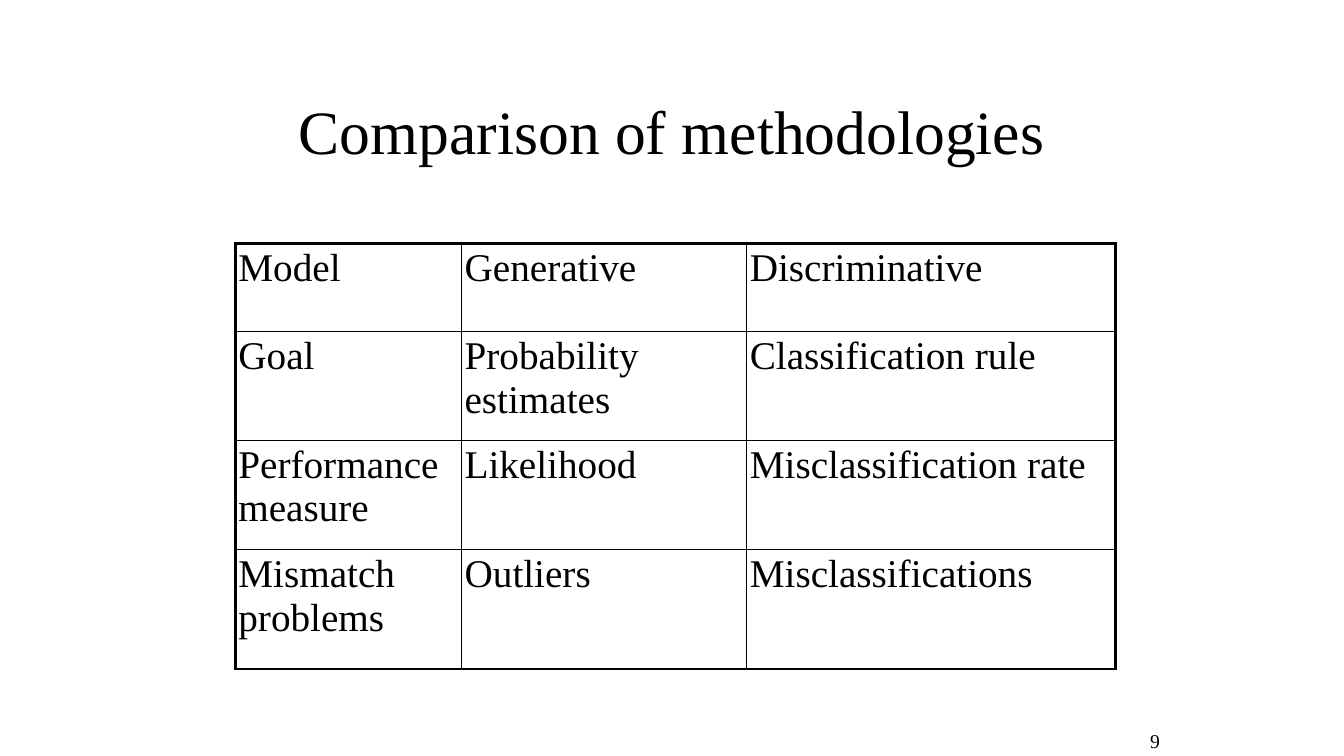
from dataclasses import dataclass

from lxml import etree
from pptx import Presentation
from pptx import util as u
from pptx.dml import color
from pptx.enum import text
from pptx.oxml import ns


@dataclass(frozen=True)
class Theme:
    """Hold the colours, font, type sizes and line widths."""

    ink: str = "000000"
    paper: str = "FFFFFF"
    font: str = "Times New Roman"
    title: int = 88
    body: int = 56
    number: int = 28
    outer: int = 4
    inner: int = 2


class SlideBuilder:
    """Draw elements on one slide, with places given as shares of its size."""

    def __init__(self, deck, theme):
        self.deck, self.theme = deck, theme
        self.slide = deck.slides.add_slide(deck.slide_layouts[6])
        fill = self.slide.background.fill
        fill.solid()
        fill.fore_color.rgb = color.RGBColor.from_string(theme.paper)

    def across(self, share):
        return round(self.deck.slide_width * share)

    def down(self, share):
        return round(self.deck.slide_height * share)

    def place(self, left, top, width, height):
        return self.across(left), self.down(top), self.across(width), self.down(height)

    def add_words(self, frame, words, size, margin, align):
        frame.margin_left = frame.margin_right = u.Inches(margin)
        frame.margin_top = frame.margin_bottom = u.Inches(margin)
        para = frame.paragraphs[0] if hasattr(frame, "paragraphs") else frame.text_frame.paragraphs[0]
        para.alignment = align
        span = para.add_run()
        span.text = words
        span.font.name = self.theme.font
        span.font.size = u.Pt(size)
        span.font.color.rgb = color.RGBColor.from_string(self.theme.ink)
        return para

    def label(self, area, words, size, wrap=True, anchor=text.MSO_ANCHOR.TOP):
        frame = self.slide.shapes.add_textbox(*self.place(*area)).text_frame
        frame.word_wrap = wrap
        frame.vertical_anchor = anchor
        self.add_words(frame, words, size, 0.11, text.PP_ALIGN.CENTER)

    def border(self, cell, side, points):
        line = etree.SubElement(cell._tc.get_or_add_tcPr(), ns.qn(f"a:ln{side}"), w=str(u.Pt(points)))
        fill = etree.SubElement(line, ns.qn("a:solidFill"))
        etree.SubElement(fill, ns.qn("a:srgbClr"), val=self.theme.ink)

    def table(self, area, widths, heights, rows):
        grid = self.slide.shapes.add_table(len(rows), len(widths), *self.place(*area)).table
        grid.first_row = grid.horz_banding = False
        for column, width in zip(grid.columns, widths):
            column.width = self.across(area[2] * width / sum(widths))
        for row, height in zip(grid.rows, heights):
            row.height = self.down(area[3] * height / sum(heights))
        for r, row in enumerate(rows):
            for c, words in enumerate(row):
                cell = grid.cell(r, c)
                para = self.add_words(cell, words, self.theme.body, 0.06, text.PP_ALIGN.LEFT)
                para.space_before = u.Pt(12)
                edges = {"L": c == 0, "R": c == len(row) - 1, "T": r == 0, "B": r == len(rows) - 1}
                for side, outside in edges.items():
                    self.border(cell, side, self.theme.outer if outside else self.theme.inner)
                cell.fill.background()


def main():
    deck = Presentation()
    deck.slide_width, deck.slide_height = u.Inches(26.67), u.Inches(15)
    theme = Theme()
    page = SlideBuilder(deck, theme)
    page.table(
        (4.67 / 26.67, 4.83 / 15, 17.47 / 26.67, 8.44 / 15),
        (4.49, 5.66, 7.32),
        (1.75, 2.16, 2.17, 2.36),
        (
            ("Model", "Generative", "Discriminative"),
            ("Goal", "Probability estimates", "Classification rule"),
            ("Performance measure", "Likelihood", "Misclassification rate"),
            ("Mismatch problems", "Outliers", "Misclassifications"),
        ),
    )
    page.label(
        (4.83 / 26.67, 0.83 / 15, 17 / 26.67, 3.5 / 15),
        "Comparison of methodologies", theme.title, anchor=text.MSO_ANCHOR.MIDDLE,
    )
    page.label((22.6 / 26.67, 14.36 / 15, 0.64 / 26.67, 0.65 / 15), "9", theme.number, wrap=False)
    deck.save("out.pptx")


if __name__ == "__main__":
    main()
